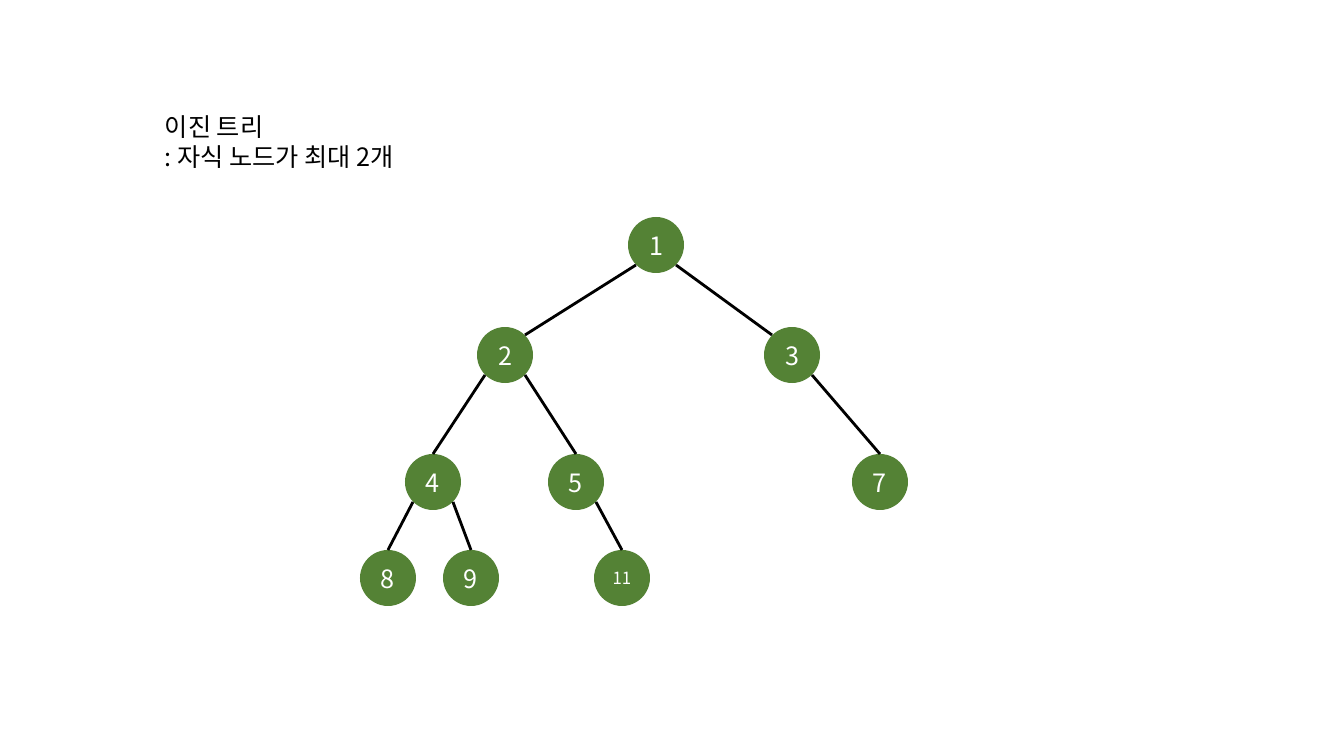
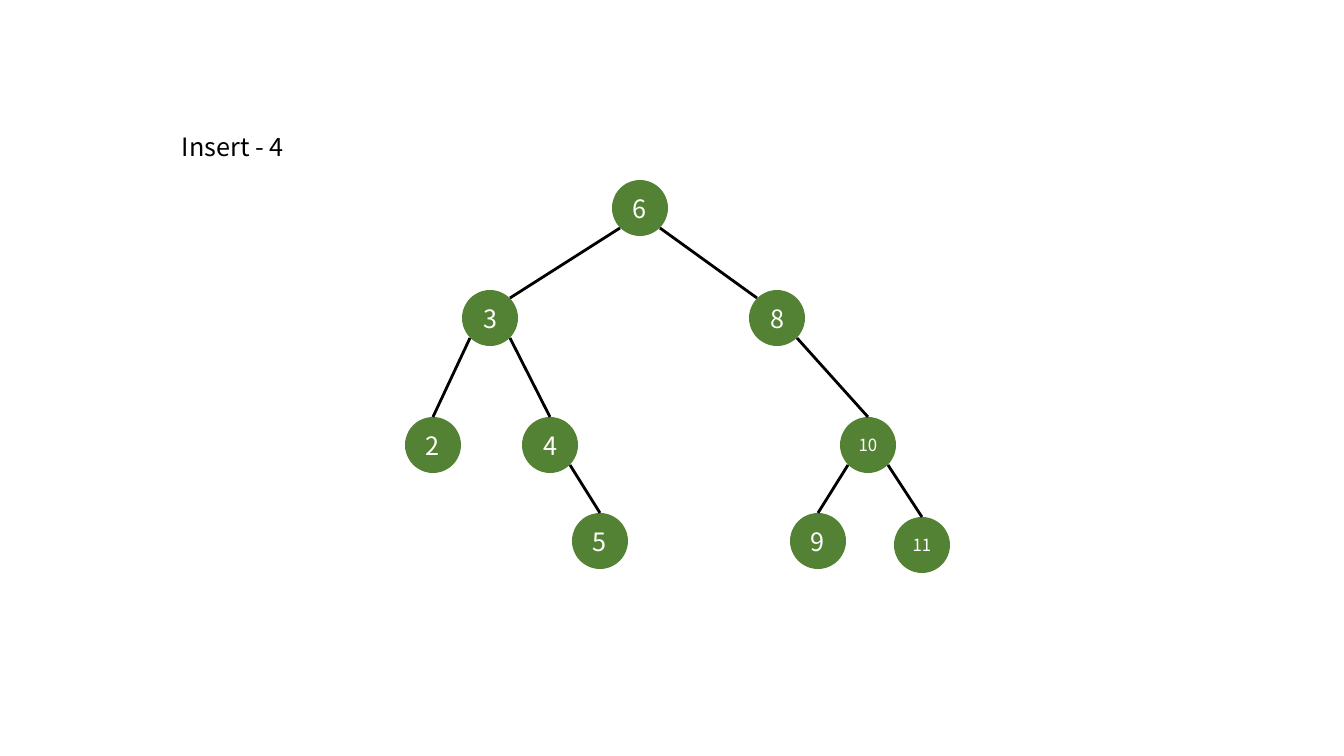
from lxml import etree
from pptx import Presentation
from pptx import util as u
from pptx.dml.color import RGBColor
from pptx.enum import shapes, text
from pptx.oxml import ns

GREEN = RGBColor(0x54, 0x82, 0x35)
WHITE = RGBColor(255, 255, 255)
BLACK = RGBColor(0, 0, 0)
FONT = "Noto Sans CJK KR"
RAD = 28
DIAG = 20
SCALE = 914400 / 100.8


def px(*vals):
    return [u.Emu(round(v * SCALE)) for v in vals]


def write(shape, lines, size, color, align):
    frame = shape.text_frame
    frame.word_wrap = False
    frame.text = "\n".join(lines)
    for para in frame.paragraphs:
        para.alignment = align
        for run in para.runs:
            style = {"size": u.Pt(size), "name": FONT}
            for key, val in style.items():
                setattr(run.font, key, val)
            run.font.color.rgb = color
            east = etree.SubElement(run.font._element, ns.qn("a:ea"))
            east.set("typeface", FONT)


trees = [
    {
        "title": ["이진 트리", ": 자식 노드가 최대 2개"],
        "box": (155, 106, 279, 72),
        "root": 1,
        "nodes": {1: (656, 245), 2: (505, 355), 3: (792, 355),
                  4: (433, 482), 5: (576, 482), 7: (880, 482),
                  8: (388, 578), 9: (471, 578), 11: (622, 578)},
        "edges": [(1, 2), (1, 3), (2, 4), (2, 5), (3, 7),
                  (4, 8), (4, 9), (5, 11)],
    },
    {
        "title": ["Insert - 4"],
        "box": (172, 126, 128, 40),
        "root": 6,
        "nodes": {6: (640, 208), 3: (490, 318), 8: (777, 318),
                  2: (433, 445), 4: (550, 445), 10: (868, 445),
                  5: (600, 541), 9: (818, 541), 11: (922, 545)},
        "edges": [(6, 3), (6, 8), (3, 2), (3, 4), (8, 10),
                  (4, 5), (10, 9), (10, 11)],
    },
]

deck = Presentation()
deck.slide_width, deck.slide_height = px(1344, 756)

for tree in trees:
    slide = deck.slides.add_slide(deck.slide_layouts[6])
    nodes = tree["nodes"]

    for num, (x, y) in nodes.items():
        node = slide.shapes.add_shape(
            shapes.MSO_SHAPE.OVAL, *px(x - RAD, y - RAD, 2 * RAD, 2 * RAD))
        node.shadow.inherit = False
        node.fill.solid()
        node.fill.fore_color.rgb = GREEN
        node.line.fill.background()
        node.text_frame.vertical_anchor = text.MSO_ANCHOR.MIDDLE
        write(node, [str(num)], 18 if num < 10 else 12, WHITE,
              text.PP_ALIGN.CENTER)

    for top, low in tree["edges"]:
        (x1, y1), (x2, y2) = nodes[top], nodes[low]
        side = DIAG if x2 > x1 else -DIAG
        if top == tree["root"]:
            end = (x2 - side, y2 - DIAG)
        else:
            end = (x2, y2 - RAD)
        edge = slide.shapes.add_connector(
            shapes.MSO_CONNECTOR.STRAIGHT, *px(x1 + side, y1 + DIAG, *end))
        edge.line.color.rgb = BLACK
        edge.line.width = u.Pt(2)
        etree.SubElement(edge._element.spPr, ns.qn("a:effectLst"))

    title = slide.shapes.add_textbox(*px(*tree["box"]))
    title.text_frame.auto_size = text.MSO_AUTO_SIZE.SHAPE_TO_FIT_TEXT
    write(title, tree["title"], 18, BLACK, text.PP_ALIGN.LEFT)

deck.save("out.pptx")
